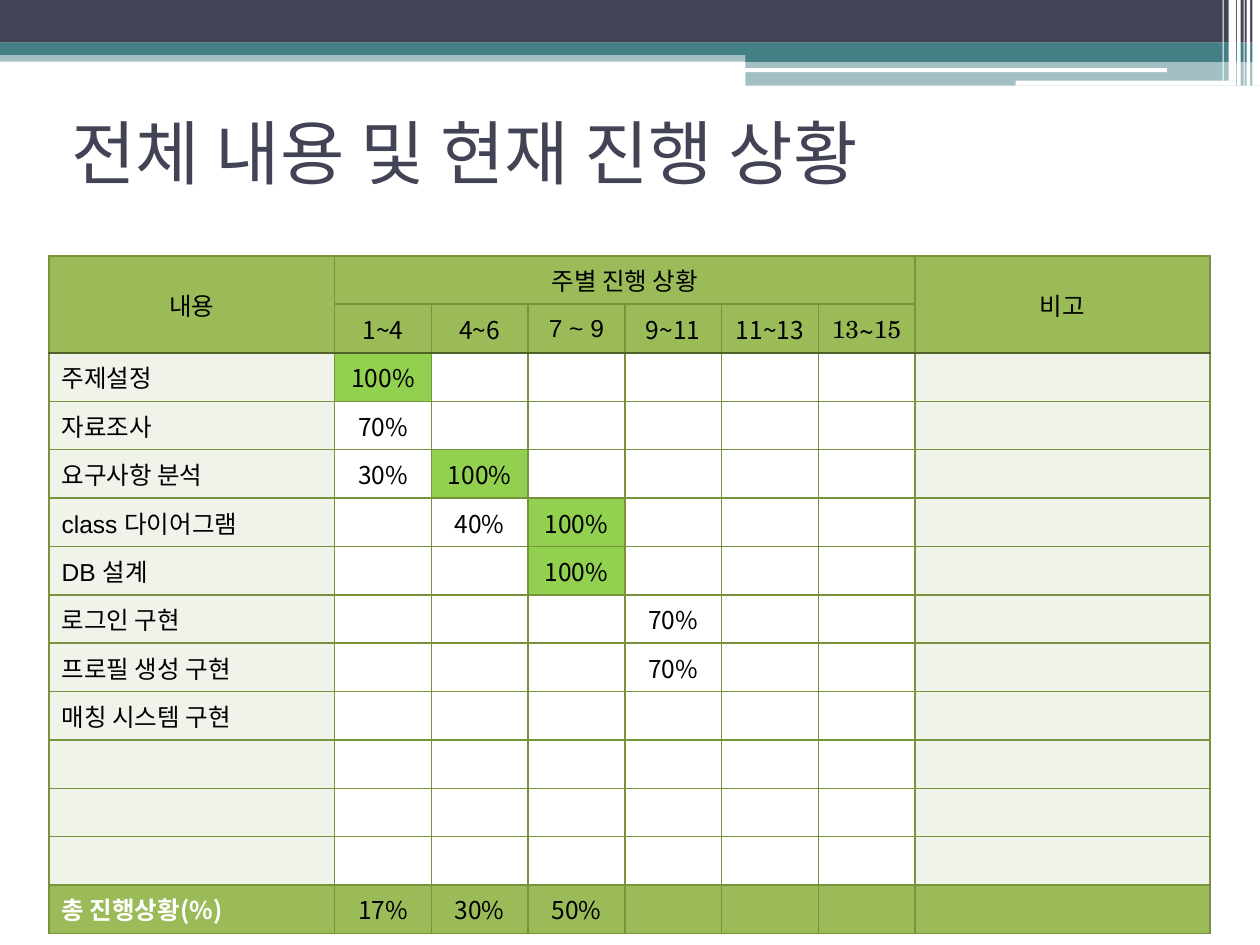
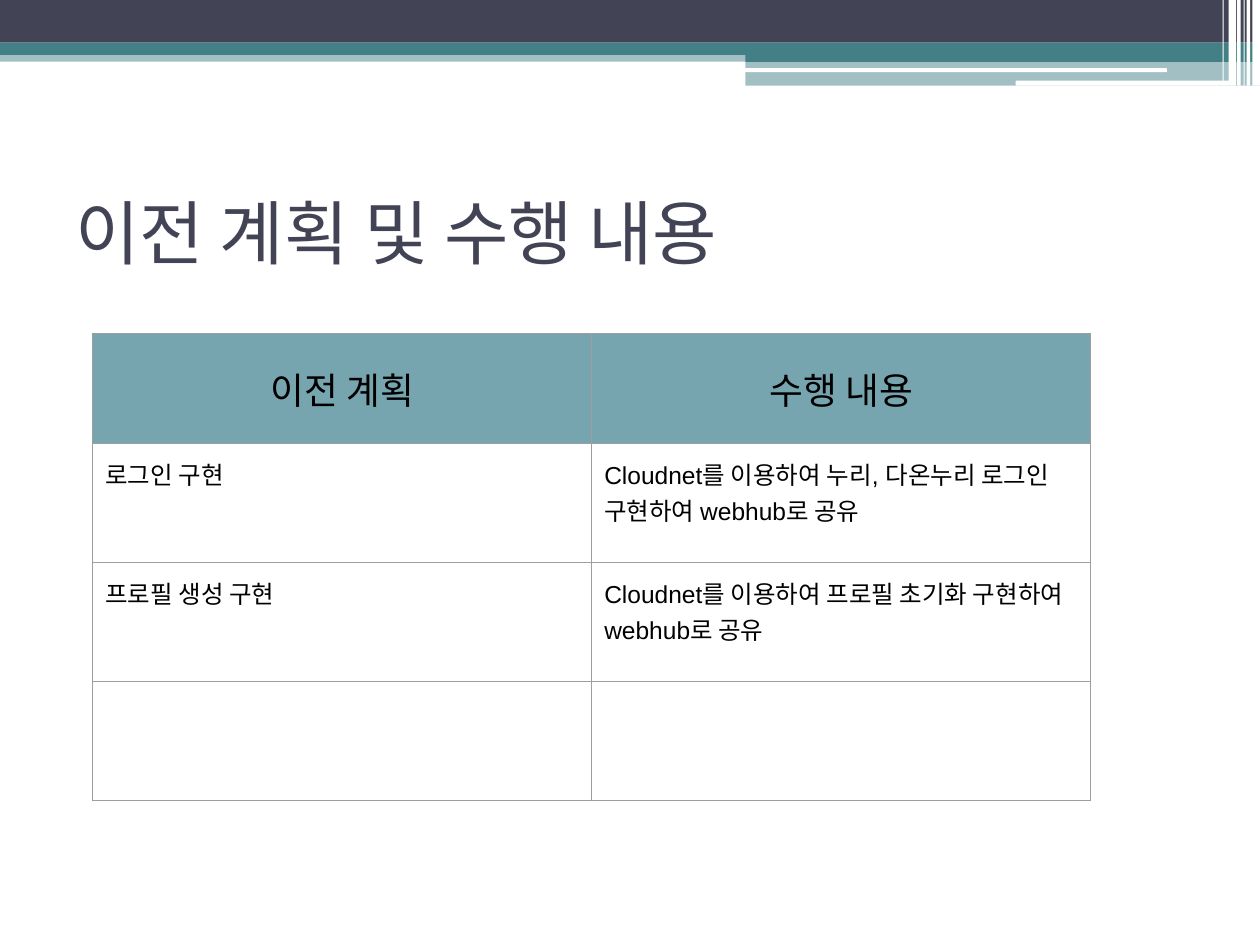
from dataclasses import dataclass
from lxml import etree
from pptx import Presentation
from pptx.dml.color import RGBColor
from pptx.enum import shapes, text
from pptx.oxml import ns
from pptx.util import Pt


@dataclass(frozen=True)
class Theme:
    navy: str = "424456"
    teal: str = "438086"
    white: str = "FFFFFF"
    black: str = "000000"
    green: str = "9BBB59"
    done: str = "92D050"
    pale: str = "EFF3EA"
    edge: str = "77933C"
    dark: str = "4F6228"
    blue: str = "76A5AF"
    gray: str = "9E9E9E"
    head: int = 40
    large: int = 21
    small: int = 14
    title: str = "Karla"
    korean: str = "Noto Sans CJK KR"
    latin: str = "Arial"
    serif: str = "TeX Gyre Schola"


T = Theme()
MID = text.MSO_ANCHOR.MIDDLE
CENTER = text.PP_ALIGN.CENTER
LEFT = text.PP_ALIGN.LEFT


def sub(node, tag, **attrs):
    return etree.SubElement(node, ns.qn("a:" + tag), attrs)


def write(frame, words, size=T.small, font=T.korean, color=T.black,
          bold=False, align=LEFT):
    para = frame.paragraphs[0]
    para.alignment = align
    if not words:
        sub(para._p, "endParaRPr", sz=str(size * 100))
        return
    run = para.add_run()
    run.text = words
    run.font.size, run.font.name, run.font.bold = Pt(size), font, bold
    run.font.color.rgb = RGBColor.from_string(color)
    sub(run.font._element, "ea", typeface=T.korean)


def band(slide, box, color, alpha=None, kind=shapes.MSO_SHAPE.RECTANGLE):
    shape = slide.shapes.add_shape(kind, *map(Pt, box))
    shape.shadow.inherit = False
    shape.line.fill.background()
    shape.fill.solid()
    shape.fill.fore_color.rgb = RGBColor.from_string(color)
    if alpha:
        tint = shape.element.find(".//" + ns.qn("a:srgbClr"))
        sub(tint, "alpha", val=str(alpha * 1000))
    return shape


def bands(slide):
    pill = shapes.MSO_SHAPE.ROUNDED_RECTANGLE
    parts = [
        band(slide, (0, 28.8, 720, 6.5), T.teal, 49),
        band(slide, (0, 0, 720, 24.4), T.navy),
        band(slide, (0, 24.4, 720, 7), T.teal),
        band(slide, (426, 28.4, 294, 7), T.teal),
        band(slide, (426, 35.2, 294, 13.8), T.teal, 49),
        band(slide, (425.6, 39, 241.2, 2.2), T.white, kind=pill),
        band(slide, (580.4, 46.1, 126, 2.8), T.white, kind=pill),
    ]
    stripes = [(715.6, 4.4, 49), (712.4, 2, 49), (710.6, 0.7, 49),
               (707, 2, 49), (702, 4.4, 46.3), (698.6, 0.7, 46.3)]
    parts += [band(slide, (x, 0, w, h), T.white) for x, w, h in stripes]
    tree = slide.slide_layout.shapes.element
    for part in parts:
        tree.append(part.element)


def title(slide, words, x, y):
    shape = slide.shapes.title
    shape.left, shape.top, shape.width, shape.height = map(Pt, (x, y, 648, 84.2))
    shape.text_frame.vertical_anchor = MID
    write(shape.text_frame, words, T.head, T.title, T.navy)


def edges(cell, width, color, **sides):
    props = cell._tc.get_or_add_tcPr()
    for side in "LRTB":
        line = sub(props, "ln" + side, w=str(Pt(width)))
        sub(sub(line, "solidFill"), "srgbClr", val=sides.get(side, color))


def paint(cell, color):
    if color:
        cell.fill.solid()
        cell.fill.fore_color.rgb = RGBColor.from_string(color)
    else:
        cell.fill.background()


def grid(slide, x, y, cols, rows):
    table = slide.shapes.add_table(
        len(rows), len(cols), Pt(x), Pt(y), Pt(sum(cols)), Pt(sum(rows))).table
    table.first_row = table.horz_banding = False
    for col, width in zip(table.columns, cols):
        col.width = Pt(width)
    for row, height in zip(table.rows, rows):
        row.height = Pt(height)
    return table


def status(slide):
    weeks = ["1~4", "4~6", "7 ~ 9", "9~11", "11~13", "13~15"]
    fonts = {"7 ~ 9": T.latin, "13~15": T.serif}
    tasks = [
        ("주제설정", {1: "100%"}),
        ("자료조사", {1: "70%"}),
        ("요구사항 분석", {1: "30%", 2: "100%"}),
        ("class 다이어그램", {2: "40%", 3: "100%"}),
        ("DB 설계", {3: "100%"}),
        ("로그인 구현", {4: "70%"}),
        ("프로필 생성 구현", {4: "70%"}),
        ("매칭 시스템 구현", {}),
        ("", {}), ("", {}), ("", {}),
        ("총 진행상황(%)", {1: "17%", 2: "30%", 3: "50%"}),
    ]
    data = [["내용", "주별 진행 상황"] + [""] * 5 + ["비고"], [""] + weeks + [""]]
    data += [[name] + [marks.get(i, "") for i in range(1, 8)]
             for name, marks in tasks]
    last = len(data) - 1
    table = grid(slide, 28, 146.2, [163.2] + [55.3] * 6 + [168.6],
                 [27.64] * len(data))
    for r, line in enumerate(data):
        for c, words in enumerate(line):
            cell = table.cell(r, c)
            cell.vertical_anchor = MID
            name = c == 0 and r > 1
            total = name and r == last
            font = fonts.get(words, T.korean)
            if name and 5 <= r < last:
                font = T.latin
            write(cell.text_frame, words, font=font, bold=total,
                  color=T.white if total else T.black,
                  align=LEFT if name else CENTER)
            edges(cell, 1, T.edge, T=T.dark if r == 2 else T.edge,
                  B=T.dark if r == 1 else T.edge)
            if r < 2 or r == last:
                paint(cell, T.green)
            elif c in (0, 7):
                paint(cell, T.pale)
            else:
                paint(cell, T.done if words == "100%" else None)
    for start, end in [((0, 0), (1, 0)), ((0, 1), (0, 6)), ((0, 7), (1, 7))]:
        table.cell(*start).merge(table.cell(*end))


def plans(slide):
    data = [
        ("이전 계획", "수행 내용"),
        ("로그인 구현",
         "Cloudnet를 이용하여 누리, 다온누리 로그인 구현하여 webhub로 공유"),
        ("프로필 생성 구현",
         "Cloudnet를 이용하여 프로필 초기화 구현하여 webhub로 공유"),
        ("", ""),
    ]
    table = grid(slide, 53, 190.6, [285.1] * 2, [62.8] + [68] * 3)
    for r, line in enumerate(data):
        for c, words in enumerate(line):
            cell = table.cell(r, c)
            cell.margin_left = cell.margin_right = Pt(7.2)
            cell.margin_top = cell.margin_bottom = Pt(7.2)
            head = r == 0
            if head:
                cell.vertical_anchor = MID
            write(cell.text_frame, words, T.large if head else T.small, T.latin,
                  align=CENTER if head else LEFT)
            edges(cell, 0.75, T.gray)
            paint(cell, T.blue if head else None)


def main():
    deck = Presentation()
    deck.slide_width, deck.slide_height = Pt(720), Pt(540)
    layout = deck.slide_layouts[5]
    for holder in list(layout.placeholders)[1:]:
        holder.element.getparent().remove(holder.element)
    first, second = (deck.slides.add_slide(layout) for _ in range(2))
    bands(first)
    title(first, "전체 내용 및 현재 진행 상황", 33.8, 44.6)
    status(first)
    title(second, "이전 계획 및 수행 내용", 36, 90)
    plans(second)
    deck.save("out.pptx")


main()
